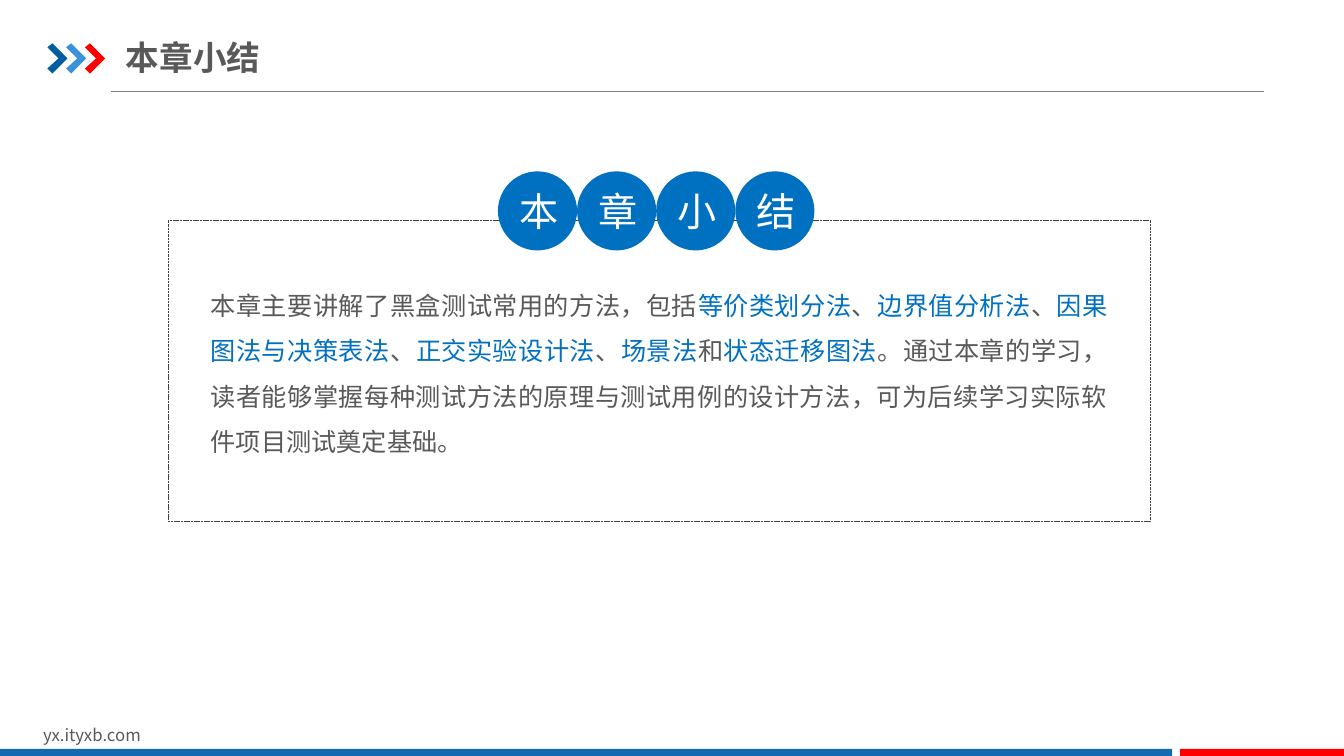
from pptx import Presentation
from pptx.dml.color import RGBColor
from pptx.enum.dml import MSO_LINE
from pptx.enum.shapes import MSO_CONNECTOR, MSO_SHAPE
from pptx.enum.text import MSO_ANCHOR, PP_ALIGN
from pptx.oxml.ns import qn
from pptx.util import Emu, Pt
from lxml import etree

BLUE = RGBColor(0x00, 0x70, 0xC0)
NAVY = RGBColor(0x00, 0x5D, 0xA2)
SKY = RGBColor(0x39, 0x92, 0xDB)
BAR_BLUE = RGBColor(0x13, 0x69, 0xB2)
RED = RGBColor(0xFF, 0x00, 0x00)
TEXT = RGBColor(0x59, 0x59, 0x59)
RULE = RGBColor(0x80, 0x80, 0x80)
BORDER = RGBColor(0x40, 0x40, 0x40)
WHITE = RGBColor(0xFF, 0xFF, 0xFF)

RECTANGLE = MSO_SHAPE.RECTANGLE
ROUNDED = MSO_SHAPE.ROUNDED_RECTANGLE
OVAL = MSO_SHAPE.OVAL
STRAIGHT = MSO_CONNECTOR.STRAIGHT
DASHED = MSO_LINE.SQUARE_DOT
TOP, MIDDLE = MSO_ANCHOR.TOP, MSO_ANCHOR.MIDDLE
LEFT, CENTER, JUSTIFY = PP_ALIGN.LEFT, PP_ALIGN.CENTER, PP_ALIGN.JUSTIFY

FONT = "Noto Sans CJK SC"
COLUMNS, ROWS = 160, 90
CELL = 76200

CHEVRON = [(0, 0.48), (0.6, 0), (2.4, 1.8), (0.6, 3.6), (0, 3), (1.32, 1.8)]
SUMMARY = [
    ("本章主要讲解了黑盒测试常用的方法，包括", TEXT),
    ("等价类划分法", BLUE),
    ("、", TEXT),
    ("边界值分析法", BLUE),
    ("、", TEXT),
    ("因果图法与决策表法", BLUE),
    ("、", TEXT),
    ("正交实验设计法", BLUE),
    ("、", TEXT),
    ("场景法", BLUE),
    ("和", TEXT),
    ("状态迁移图法", BLUE),
    ("。通过本章的学习，读者能够掌握每种测试方法的原理与测试用例的设计方法，"
     "可为后续学习实际软件项目测试奠定基础。", TEXT),
]


def cells(*counts):
    return [Emu(round(count * CELL)) for count in counts]


class Page:
    """Draws styled elements on one slide, measured in grid cells."""

    def __init__(self, deck):
        self.shapes = deck.slides.add_slide(deck.slide_layouts[6]).shapes

    def add_spans(self, frame, spans, size, align=LEFT, bold=False):
        para = frame.paragraphs[0]
        para.alignment = align
        for words, color in spans:
            span = para.add_run()
            span.text = words
            span.font.size = Pt(size)
            span.font.bold = bold
            span.font.color.rgb = color
            span.font.name = FONT
            east_asian = etree.SubElement(span._r.get_or_add_rPr(), qn("a:ea"))
            east_asian.set("typeface", FONT)
        return para

    def text(self, area, spans, size, align=LEFT, bold=False, anchor=TOP, insets=(1.2, 0.6)):
        frame = self.shapes.add_textbox(*cells(*area)).text_frame
        frame.word_wrap = True
        frame.vertical_anchor = anchor
        side, edge = cells(*insets)
        frame.margin_left = frame.margin_right = side
        frame.margin_top = frame.margin_bottom = edge
        return self.add_spans(frame, spans, size, align, bold)

    def paint(self, shape, fill):
        shape.shadow.inherit = False
        shape.fill.solid()
        shape.fill.fore_color.rgb = fill
        shape.line.fill.background()

    def block(self, kind, area, fill):
        shape = self.shapes.add_shape(kind, *cells(*area))
        self.paint(shape, fill)
        return shape

    def badge(self, area, letter):
        frame = self.block(OVAL, area, BLUE).text_frame
        frame.vertical_anchor = MIDDLE
        self.add_spans(frame, [(letter, WHITE)], 28, CENTER)

    def frame(self, area):
        shape = self.shapes.add_shape(ROUNDED, *cells(*area))
        shape.adjustments[0] = 0
        shape.shadow.inherit = False
        shape.fill.background()
        shape.line.color.rgb = BORDER
        shape.line.width = Pt(0.25)
        shape.line.dash_style = DASHED

    def rule(self, left, right, top):
        line = self.shapes.add_connector(STRAIGHT, *cells(left, top, right, top))
        line.line.color.rgb = RULE
        line.line.width = Pt(0.75)
        etree.SubElement(line._element.spPr, qn("a:effectLst"))

    def chevron(self, left, top, fill):
        points = [cells(left + x, top + y) for x, y in CHEVRON]
        builder = self.shapes.build_freeform(*points[0])
        builder.add_line_segments(points[1:], close=True)
        self.paint(builder.convert_to_shape(), fill)


def main():
    deck = Presentation()
    deck.slide_width, deck.slide_height = cells(COLUMNS, ROWS)
    page = Page(deck)

    page.rule(13.2, 150.5, 10.92)
    for index, color in enumerate((NAVY, SKY, RED)):
        page.chevron(5.64 + 2.24 * index, 5.16, color)
    page.text((3.96, 85.68, 38.16, 3.6), [("yx.ityxb.com", TEXT)], 12)
    page.block(RECTANGLE, (0, 89.16, 139.56, 0.84), BAR_BLUE)
    page.block(RECTANGLE, (140.5, 89.16, 19.5, 0.84), RED)

    page.text((15, 3.48, 74.4, 6.6), [("本章小结", TEXT)], 24,
              bold=True, anchor=MIDDLE, insets=(0, 0.84))
    page.frame((20.04, 26.16, 116.88, 35.88))
    summary = page.text((25.08, 32.76, 106.8, 21.84), SUMMARY, 18,
                        align=JUSTIFY, insets=(0, 0))
    summary.line_spacing = 1.5
    diameter = 9.42
    for index, letter in enumerate("本章小结"):
        page.badge((59.28 + diameter * index, 20.4, diameter, diameter), letter)

    deck.save("out.pptx")


if __name__ == "__main__":
    main()
